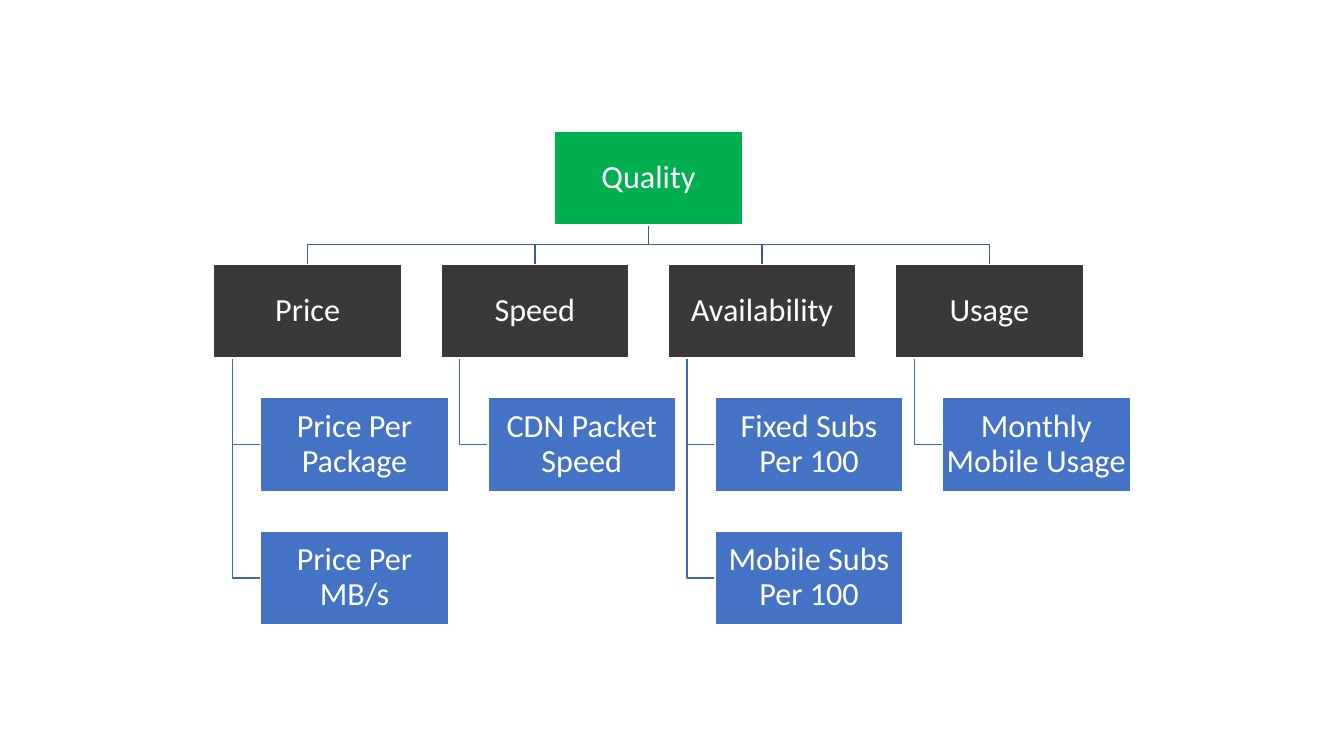
import dataclasses
import typing

import pptx
import pptx.dml.color
import pptx.enum.shapes
import pptx.enum.text
import pptx.util


@dataclasses.dataclass(frozen=True)
class Theme:
    font: str = "Calibri"
    size: float = 23
    text: str = "FFFFFF"
    outline: str = "FFFFFF"
    root: str = "00B050"
    branch: str = "3B3838"
    leaf: str = "4472C4"
    root_line: str = "365B9D"
    branch_line: str = "3E67B2"
    line_width: float = 1


@dataclasses.dataclass(frozen=True)
class Box:
    label: str
    column: float
    row: int
    fill: str
    indent: float = 0

    @property
    def left(self) -> float:
        return CHART_LEFT + self.column * COLUMN_STEP + self.indent

    @property
    def top(self) -> float:
        return CHART_TOP + self.row * ROW_STEP

    @property
    def center(self) -> float:
        return self.left + BOX_WIDTH / 2

    @property
    def middle(self) -> float:
        return self.top + BOX_HEIGHT / 2

    @property
    def bottom(self) -> float:
        return self.top + BOX_HEIGHT


Point = typing.Tuple[float, float]

THEME = Theme()
SLIDE_WIDTH, SLIDE_HEIGHT = 13.33, 7.5
CHART_LEFT, CHART_TOP, CHART_WIDTH = 2.12, 1.3, 9.09
BRANCHES = {
    "Price": ["Price Per Package", "Price Per MB/s"],
    "Speed": ["CDN Packet Speed"],
    "Availability": ["Fixed Subs Per 100", "Mobile Subs Per 100"],
    "Usage": ["Monthly Mobile Usage"],
}
GAP_SHARE, INDENT_SHARE, STEM_SHARE = 0.21, 0.25, 0.1
LAST_COLUMN = len(BRANCHES) - 1
BOX_WIDTH = CHART_WIDTH / (LAST_COLUMN * (1 + GAP_SHARE) + 1 + INDENT_SHARE)
BOX_HEIGHT = BOX_WIDTH / 2
GAP = BOX_WIDTH * GAP_SHARE
COLUMN_STEP = BOX_WIDTH + GAP
ROW_STEP = BOX_HEIGHT + GAP
INDENT = BOX_WIDTH * INDENT_SHARE
STEM = BOX_WIDTH * STEM_SHARE
INSET = pptx.util.Inches(0.02)


def color(value: str) -> pptx.dml.color.RGBColor:
    return pptx.dml.color.RGBColor.from_string(value)


def draw_elbow(page, points: typing.List[Point], line_color: str) -> None:
    start, *rest = [tuple(map(pptx.util.Inches, point)) for point in points]
    builder = page.shapes.build_freeform(*start)
    builder.add_line_segments(rest, close=False)
    elbow = builder.convert_to_shape()
    elbow.shadow.inherit = False
    elbow.fill.background()
    elbow.line.color.rgb = color(line_color)
    elbow.line.width = pptx.util.Pt(THEME.line_width)


def draw_box(page, box: Box) -> None:
    shape = page.shapes.add_shape(
        pptx.enum.shapes.MSO_SHAPE.RECTANGLE,
        *map(pptx.util.Inches, (box.left, box.top, BOX_WIDTH, BOX_HEIGHT)),
    )
    shape.shadow.inherit = False
    shape.fill.solid()
    shape.fill.fore_color.rgb = color(box.fill)
    shape.line.color.rgb = color(THEME.outline)
    shape.line.width = pptx.util.Pt(THEME.line_width)
    frame = shape.text_frame
    frame.word_wrap = True
    frame.vertical_anchor = pptx.enum.text.MSO_ANCHOR.MIDDLE
    frame.margin_left = frame.margin_right = INSET
    frame.margin_top = frame.margin_bottom = INSET
    frame.text = box.label
    para = frame.paragraphs[0]
    para.alignment = pptx.enum.text.PP_ALIGN.CENTER
    para.line_spacing = 0.9
    para.font.name = THEME.font
    para.font.size = pptx.util.Pt(THEME.size)
    para.font.color.rgb = color(THEME.text)


def link_branch(page, root: Box, branch: Box) -> None:
    turn = (root.bottom + branch.top) / 2
    points = [
        (root.center, root.bottom),
        (root.center, turn),
        (branch.center, turn),
        (branch.center, branch.top),
    ]
    draw_elbow(page, points, THEME.root_line)


def link_leaf(page, branch: Box, leaf: Box) -> None:
    stem = branch.left + STEM
    points = [(stem, branch.bottom), (stem, leaf.middle), (leaf.left, leaf.middle)]
    draw_elbow(page, points, THEME.branch_line)


def main() -> None:
    deck = pptx.Presentation()
    deck.slide_width = pptx.util.Inches(SLIDE_WIDTH)
    deck.slide_height = pptx.util.Inches(SLIDE_HEIGHT)
    page = deck.slides.add_slide(deck.slide_layouts[6])

    root = Box("Quality", LAST_COLUMN / 2, 0, THEME.root)
    boxes = [root]
    for column, (name, labels) in enumerate(BRANCHES.items()):
        branch = Box(name, column, 1, THEME.branch)
        link_branch(page, root, branch)
        boxes.append(branch)
        for row, label in enumerate(labels, start=2):
            leaf = Box(label, column, row, THEME.leaf, INDENT)
            link_leaf(page, branch, leaf)
            boxes.append(leaf)
    for box in boxes:
        draw_box(page, box)

    deck.save("out.pptx")


main()
